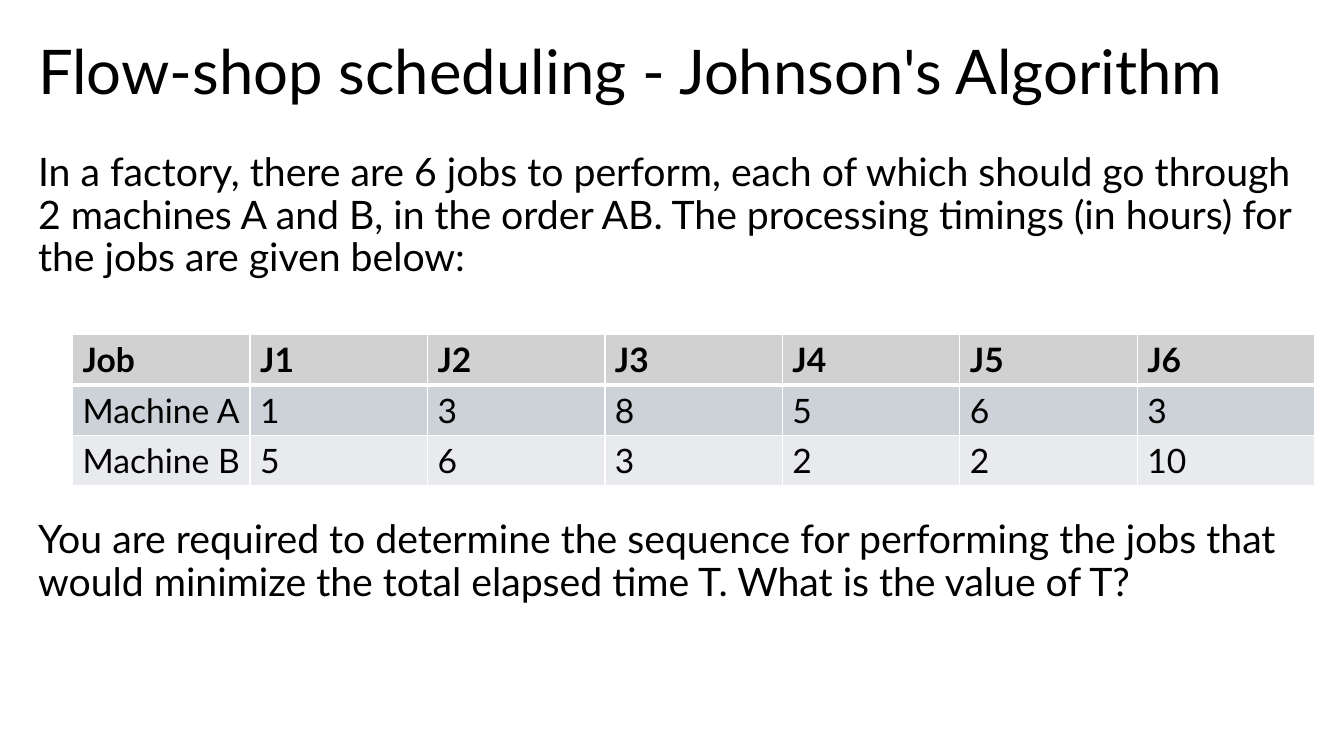
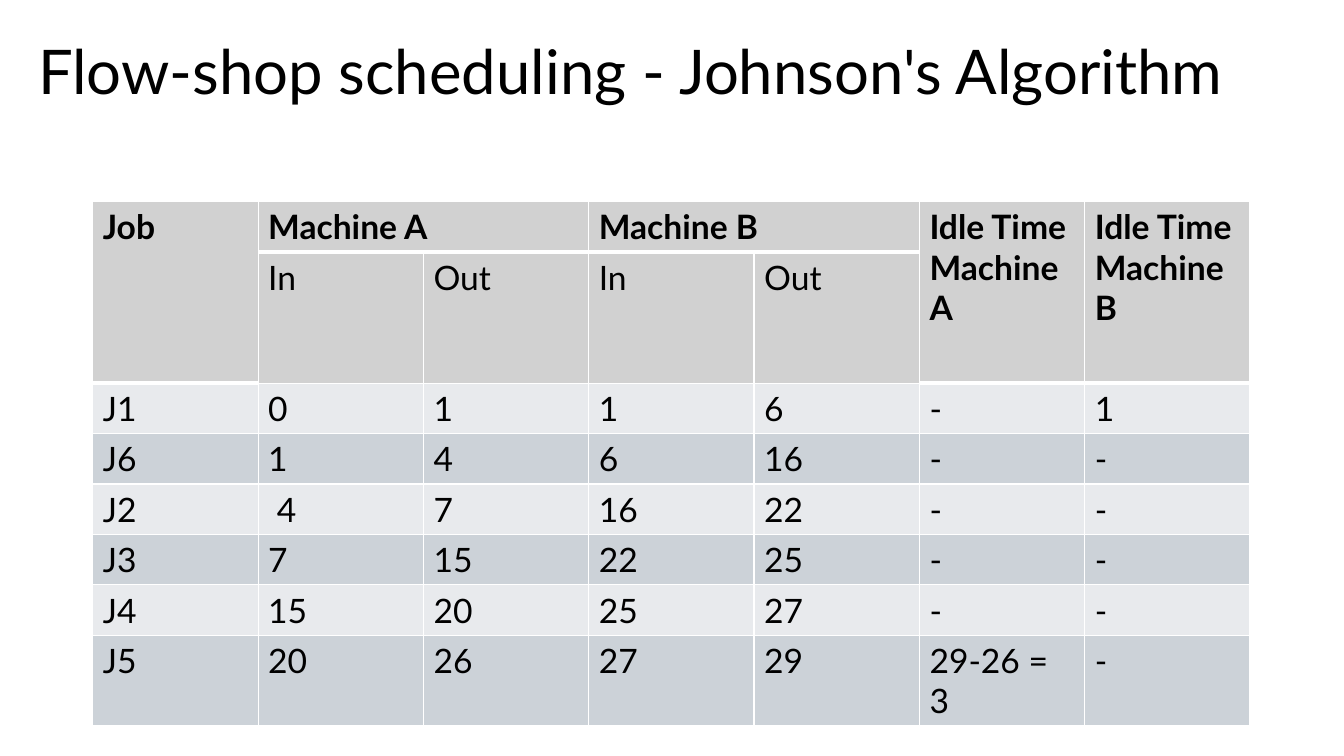
from lxml import etree
from pptx import Presentation, util as u
from pptx.dml.color import RGBColor
from pptx.enum import text
from pptx.oxml.ns import qn

# Shared look
BLACK = RGBColor(0x00, 0x00, 0x00)
WHITE = RGBColor(0xFF, 0xFF, 0xFF)
HEADER = RGBColor(0xD1, 0xD1, 0xD1)
BANDS = (RGBColor(0xE8, 0xEA, 0xED), RGBColor(0xCC, 0xD2, 0xD8))
TITLE_FONT = {"name": "Lato", "size": u.Pt(44)}
BODY_FONT = {"name": "Lato", "size": u.Pt(28)}
CELL_FONT = {"name": "Lato", "size": u.Pt(24)}
LEFT, WIDTH = 0.28, 12.76

# Wording
TITLE = "Flow-shop scheduling - Johnson's Algorithm"
PROBLEM = ("In a factory, there are 6 jobs to perform, each of which should "
           "go through 2 machines A and B, in the order AB. "
           "The processing timings (in hours) for the jobs are given below:")
QUESTION = ("You are required to determine the sequence for performing the jobs "
            "that would minimize the total elapsed time T. "
            "What is the value of T?")
TIMINGS = [
    ["Job", "J1", "J2", "J3", "J4", "J5", "J6"],
    ["Machine A", "1", "3", "8", "5", "6", "3"],
    ["Machine B", "5", "6", "3", "2", "2", "10"],
]
SCHEDULE = [
    ["Job", "Machine A", "", "Machine B", "",
     "Idle Time\nMachine A", "Idle Time\nMachine B"],
    ["", "In", "Out", "In", "Out", "", ""],
    ["J1", "0", "1", "1", "6", "-", "1"],
    ["J6", "1", "4", "6", "16", "-", "-"],
    ["J2", " 4", "7", "16", "22", "-", "-"],
    ["J3", "7", "15", "22", "25", "-", "-"],
    ["J4", "15", "20", "25", "27", "-", "-"],
    ["J5", "20", "26", "27", "29", "29-26 = 3", "-"],
]
# Merged header cells: first and last (row, column)
SCHEDULE_MERGES = [((0, 0), (1, 0)), ((0, 1), (0, 2)), ((0, 3), (0, 4)),
                   ((0, 5), (1, 5)), ((0, 6), (1, 6))]


def set_font(p, style, bold=False):
    for r in p.runs:
        for name, value in {**style, "bold": bold}.items():
            setattr(r.font, name, value)
        r.font.color.rgb = BLACK


def add_text(s, wording, top, height, style, anchor=text.MSO_ANCHOR.TOP, before=0):
    box = s.shapes.add_textbox(*map(u.Inches, (LEFT, top, WIDTH, height)))
    tf = box.text_frame
    tf.word_wrap = True
    tf.vertical_anchor = anchor
    p = tf.paragraphs[0]
    p.text = wording
    p.line_spacing = 0.9
    p.space_before = u.Pt(before)
    set_font(p, style)


def set_borders(cell, bottom):
    """Draw white rules round a cell; must come before its fill."""
    tc_pr = cell._tc.get_or_add_tcPr()
    for side, points in (("L", 1), ("R", 1), ("T", 1), ("B", bottom)):
        ln = etree.SubElement(tc_pr, qn(f"a:ln{side}"), w=str(u.Pt(points)))
        fill = etree.SubElement(ln, qn("a:solidFill"))
        etree.SubElement(fill, qn("a:srgbClr"), val=str(WHITE))


def add_grid(s, rows, left, top, col_width, heights, header_rows=1,
             first_band=0, merges=()):
    n_cols = len(rows[0])
    frame = s.shapes.add_table(
        len(rows), n_cols, u.Inches(left), u.Inches(top),
        u.Inches(col_width * n_cols), u.Inches(sum(heights)))
    table = frame.table
    table.first_row = table.horz_banding = False
    for col in table.columns:
        col.width = u.Inches(col_width)
    for first, last in merges:
        table.cell(*first).merge(table.cell(*last))

    for i, (row, height) in enumerate(zip(rows, heights)):
        table.rows[i].height = u.Inches(height)
        is_header = i < header_rows
        for j, wording in enumerate(row):
            cell = table.cell(i, j)
            set_borders(cell, 3 if i == 0 or cell.is_spanned else 1)
            cell.fill.solid()
            cell.fill.fore_color.rgb = (
                HEADER if is_header else BANDS[(i - header_rows + first_band) % 2])
            if wording:
                cell.text_frame.text = wording
            for p in cell.text_frame.paragraphs:
                set_font(p, CELL_FONT, bold=i == 0)


def add_titled_slide(prs):
    s = prs.slides.add_slide(prs.slide_layouts[6])
    add_text(s, TITLE, 0.14, 1.2, TITLE_FONT, text.MSO_ANCHOR.MIDDLE)
    return s


def main():
    prs = Presentation()
    prs.slide_width, prs.slide_height = u.Inches(13.33), u.Inches(7.5)

    # Problem statement
    s = add_titled_slide(prs)
    add_text(s, PROBLEM, 1.47, 1.4, BODY_FONT, before=10)
    add_grid(s, TIMINGS, 0.72, 3.32, 1.76, [0.5] * 3, first_band=1)
    add_text(s, QUESTION, 5.11, 1, BODY_FONT, before=10)

    # Schedule in the best order
    s = add_titled_slide(prs)
    add_grid(s, SCHEDULE, 0.92, 2, 1.64, [0.5, 1.29] + [0.5] * 5 + [0.9],
             header_rows=2, merges=SCHEDULE_MERGES)

    prs.save("out.pptx")


if __name__ == "__main__":
    main()
